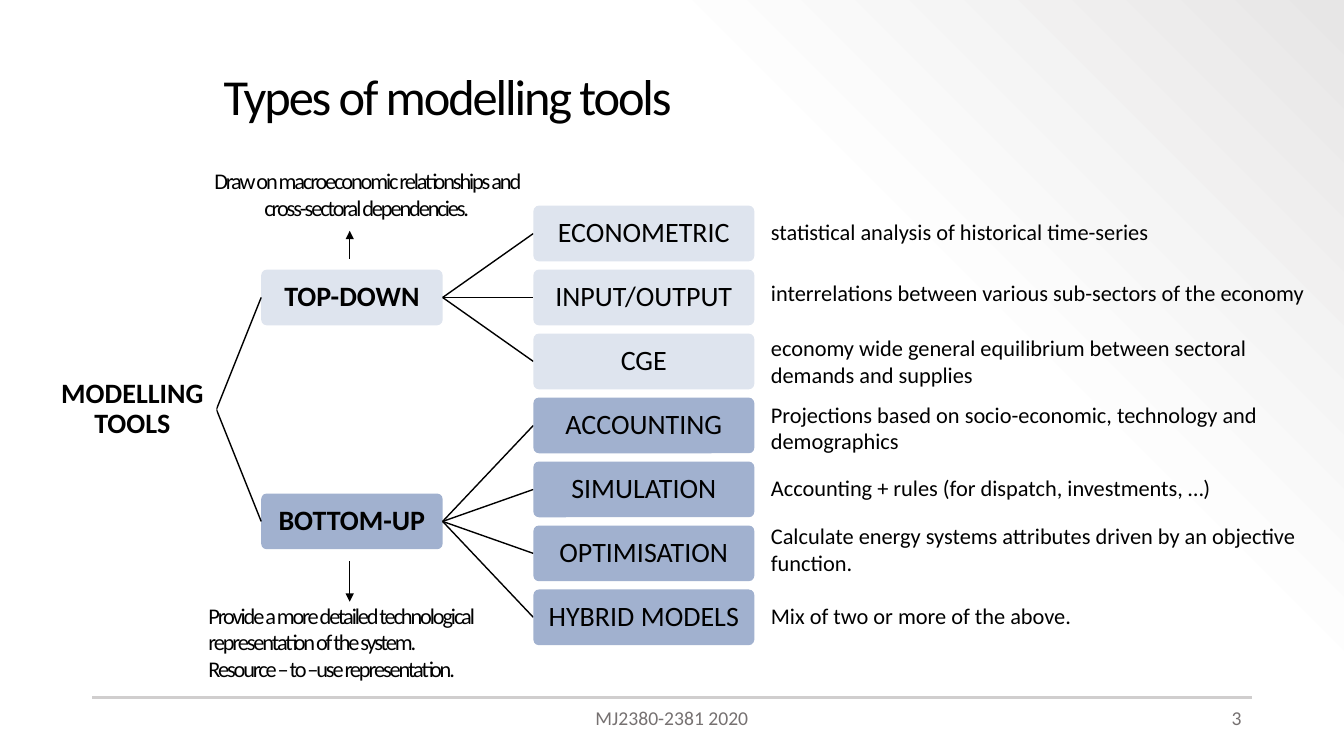
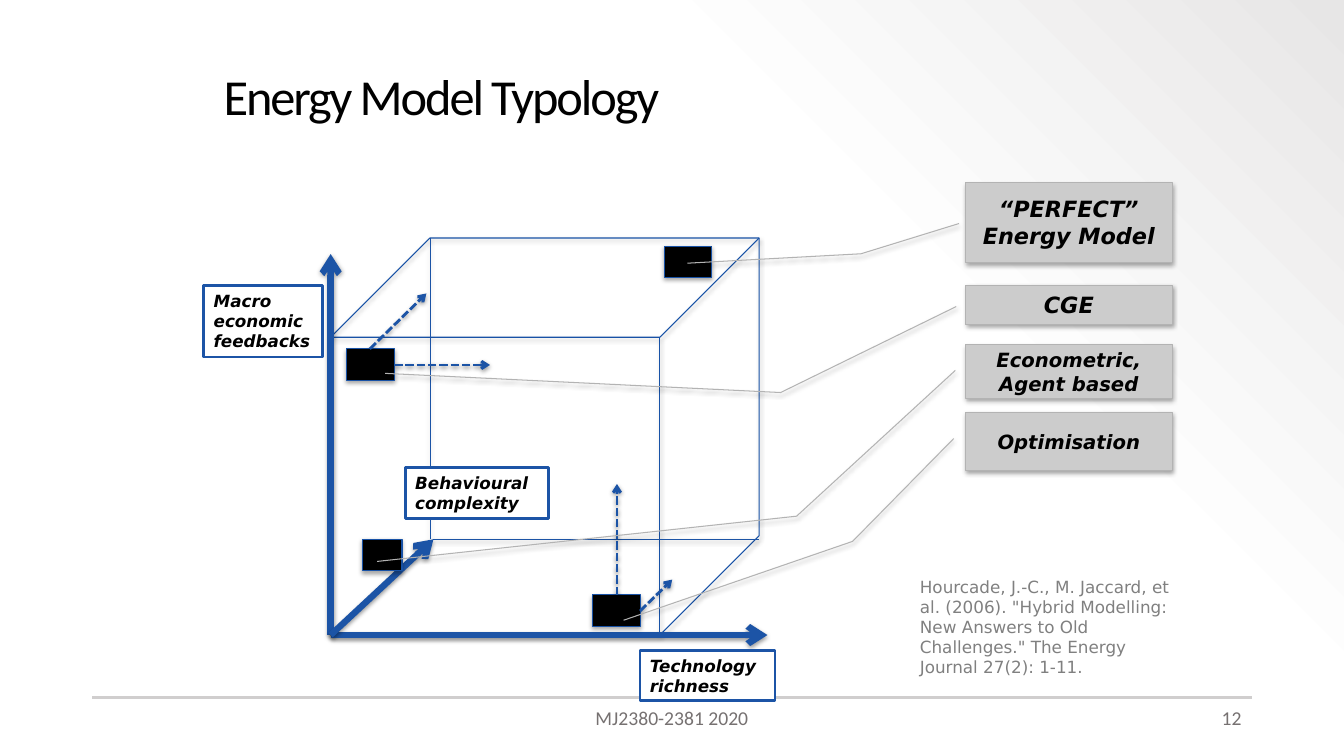
from collections import namedtuple

from lxml import etree
from pptx import Presentation
from pptx.dml.color import RGBColor
from pptx.enum import dml, shapes, text
from pptx.oxml.ns import qn
from pptx.util import Pt

Box = namedtuple("Box", "left top width height")

BLACK = RGBColor(0x00, 0x00, 0x00)
WHITE = RGBColor(0xFF, 0xFF, 0xFF)
RULE_GREY = RGBColor(0xD0, 0xCE, 0xCE)
FOOTER_GREY = RGBColor(0x76, 0x71, 0x71)
SOURCE_GREY = RGBColor(0x80, 0x80, 0x80)
PALE_BLUE = RGBColor(0xDE, 0xE4, 0xEE)
MID_BLUE = RGBColor(0xA1, 0xB1, 0xCF)
AXIS_BLUE = RGBColor(0x1C, 0x54, 0xA6)
EDGE_BLUE = RGBColor(0x18, 0x52, 0xA6)
CALLOUT_FILL = RGBColor(0xCC, 0xCC, 0xCC)
CALLOUT_EDGE = RGBColor(0xB3, 0xB3, 0xB3)
BACKGROUND_STOPS = [(0, "FFFFFF", 100), (69, "FDFDFD", 100), (100, "E7E6E6", 50)]

PAGE = Box(0, 0, 960, 540)
LEFT, CENTER, RIGHT = text.PP_ALIGN.LEFT, text.PP_ALIGN.CENTER, text.PP_ALIGN.RIGHT
MIDDLE = {"vertical_anchor": text.MSO_ANCHOR.MIDDLE}
TOP = {"vertical_anchor": text.MSO_ANCHOR.TOP}
FLAT = {"margin_top": 0, "margin_bottom": 0}
TIGHT = {f"margin_{side}": Pt(1) for side in ("left", "right", "top", "bottom")}
BODY = {"name": "Calibri", "size": Pt(16)}
NODE = {"name": "Calibri", "size": Pt(20)}
FOOTER = {"name": "Calibri", "size": Pt(14)}
TITLE = {"name": "Calibri", "size": Pt(36)}
SOURCE = {"name": "DejaVu Sans", "size": Pt(12)}
LABEL = {**SOURCE, "bold": True, "italic": True}
SHAPE_SHADOW = (35, 23000)
LINE_SHADOW = (38, 20000)


def apply(target, formats):
    for name, value in formats.items():
        setattr(target, name, value)


def inside(box, left, top, width, height):
    return Box(box.left + left, box.top + top, width, height)


def child(parent, tag, **attributes):
    return etree.SubElement(parent, qn(tag), {k: str(v) for k, v in attributes.items()})


def color_node(parent, rgb, opacity):
    color = child(parent, "a:srgbClr", val=rgb)
    if opacity < 100:
        child(color, "a:alpha", val=opacity * 1000)


def set_shadow(shape, shadow):
    effects = child(shape._element.spPr, "a:effectLst")
    if shadow:
        opacity, distance = shadow
        outer = child(effects, "a:outerShdw", blurRad=40000, dist=distance,
                      dir=5400000, rotWithShape=0)
        color_node(outer, "000000", opacity)


def write(shape, lines, font, color=BLACK, frame=None, paragraph_format=None, tracking=0):
    text_frame = shape.text_frame
    apply(text_frame, {"word_wrap": True, **(frame or {})})
    for index, line in enumerate(lines):
        paragraph = text_frame.add_paragraph() if index else text_frame.paragraphs[0]
        apply(paragraph, paragraph_format or {})
        run = paragraph.add_run()
        run.text = line
        apply(run.font, font)
        run.font.color.rgb = color
        if tracking:
            run._r.get_or_add_rPr().set("spc", str(int(tracking * 100)))


def add_text(slide, box, lines, font, **options):
    shape = slide.shapes.add_textbox(*map(Pt, box))
    write(shape, lines, font, **options)
    return shape


def add_panel(slide, kind, box, fill=None, line=None, width=0.75, shadow=None):
    shape = slide.shapes.add_shape(kind, *map(Pt, box))
    if fill is None:
        shape.fill.background()
    else:
        shape.fill.solid()
        shape.fill.fore_color.rgb = fill
    if line is None:
        shape.line.fill.background()
    else:
        shape.line.color.rgb = line
        shape.line.width = Pt(width)
    set_shadow(shape, shadow)
    return shape


def add_line(slide, start, end, color=BLACK, width=1, arrow=None, dash=None, shadow=None):
    line = slide.shapes.add_connector(
        shapes.MSO_CONNECTOR.STRAIGHT, *map(Pt, (*start, *end)))
    line.line.color.rgb = color
    line.line.width = Pt(width)
    if dash:
        line.line.dash_style = dash
    if arrow:
        child(line.line._get_or_add_ln(), "a:tailEnd", type=arrow)
    set_shadow(line, shadow)


def paint_background(slide):
    fill = slide.background.fill
    fill.gradient()
    fill.gradient_angle = 45
    stops = next(slide.element.iter(qn("a:gsLst")))
    for stop in list(stops):
        stops.remove(stop)
    for position, rgb, opacity in BACKGROUND_STOPS:
        color_node(child(stops, "a:gs", pos=position * 1000), rgb, opacity)


def add_page(presentation, title, number):
    slide = presentation.slides.add_slide(presentation.slide_layouts[6])
    paint_background(slide)
    margin, rule_top = 66, PAGE.height - 41.8
    right = PAGE.width - margin
    add_line(slide, (margin, rule_top), (right, rule_top), RULE_GREY, 1.5)
    add_text(slide, Box(152.6, 26.6, right - 152.6, 88), [title], TITLE, frame=MIDDLE,
             paragraph_format={"line_spacing": 0.9}, tracking=-1.5)
    for left, width, words, alignment in (
            (318, 324, "MJ2380-2381 2020", CENTER), (right - 216, 216, number, RIGHT)):
        add_text(slide, Box(left, rule_top + 2.2, width, 28.8), [words], FOOTER,
                 color=FOOTER_GREY, paragraph_format={"alignment": alignment})
    return slide


BRANCHES = [
    ("TOP-DOWN", PALE_BLUE, [
        ("ECONOMETRIC", "statistical analysis of historical time-series", -1.5),
        ("INPUT/OUTPUT", "interrelations between various sub-sectors of the economy", -3.5),
        ("CGE", "economy wide general equilibrium between sectoral demands and supplies", -0.5),
    ]),
    ("BOTTOM-UP", MID_BLUE, [
        ("ACCOUNTING", "Projections based on socio-economic, technology and demographics", 1.5),
        ("SIMULATION", "Accounting + rules (for dispatch, investments, …)", -1.5),
        ("OPTIMISATION",
         "Calculate energy systems attributes driven by an objective function.", -3),
        ("HYBRID MODELS", "Mix of two or more of the above.", -1.5),
    ]),
]


def add_node(slide, left, middle, width, height, label, fill, bold=False):
    node = add_panel(slide, shapes.MSO_SHAPE.ROUNDED_RECTANGLE,
                     Box(left, middle - height / 2, width, height), fill)
    node.adjustments[0] = 0.1
    write(node, [label], {**NODE, "bold": bold}, frame={**MIDDLE, **TIGHT},
          paragraph_format={"alignment": CENTER, "line_spacing": 0.9})


def add_model_tree(slide, box):
    node_height, pitch, first = 39.8, 45.7, box.top + 47.3
    root_width, branch_width, leaf_width = 120, 129.6, 157.8
    branch_left, leaf_left, note_left = (box.left + x for x in (152, 346.4, 509))
    branch_right = branch_left + branch_width
    branch_middles = []
    row = 0
    for branch, fill, leaves in BRANCHES:
        middles = [first + pitch * (row + index) for index in range(len(leaves))]
        row += len(leaves)
        branch_middle = sum(middles) / len(middles)
        branch_middles.append(branch_middle)
        add_node(slide, branch_left, branch_middle, branch_width, node_height,
                 branch, fill, bold=True)
        for (leaf, note, shift), middle in zip(leaves, middles):
            add_line(slide, (branch_right, branch_middle), (leaf_left, middle))
            add_node(slide, leaf_left, middle, leaf_width, node_height, leaf, fill)
            add_text(slide, Box(note_left, middle + shift - 19.5, 404, 39), [note], BODY,
                     frame={**MIDDLE, **FLAT})
    root_middle = sum(branch_middles) / len(branch_middles)
    for middle in branch_middles:
        add_line(slide, (box.left + root_width, root_middle), (branch_left, middle))
    add_node(slide, box.left, root_middle, root_width, 54, "MODELLING TOOLS", WHITE, bold=True)


def add_remark(slide, box, lines, alignment, arrow_start, arrow_end):
    add_text(slide, box, lines, BODY, frame=FLAT,
             paragraph_format={"alignment": alignment}, tracking=-1.5)
    arrow_left = box.left + 108
    add_line(slide, (arrow_left, box.top + arrow_start), (arrow_left, box.top + arrow_end),
             width=0.5, arrow="triangle")


def add_cube(slide, box):
    depth = box.height / 4
    bottom, right = box.top + box.height, box.left + box.width
    origin, inner = (box.left, bottom), (box.left + 73.4, bottom - 68.4)
    add_panel(slide, shapes.MSO_SHAPE.CUBE, box, None, EDGE_BLUE, shadow=SHAPE_SHADOW)
    hidden_left = box.left + depth
    for start, end, width in (
            ((hidden_left, box.top), (hidden_left, inner[1]), 0.25),
            (inner, (right, inner[1]), 0.75)):
        add_line(slide, start, end, AXIS_BLUE, width, shadow=LINE_SHADOW)
    for end in ((box.left, box.top + 11.5), (right + 6, bottom), inner):
        add_line(slide, origin, end, AXIS_BLUE, 4.5, "arrow", shadow=LINE_SHADOW)
    for left, top, width, height, label in (
            (-90.7, 33.8, 85, 51.2, "Macro economic feedbacks"),
            (53.3, 164.2, 102.2, 36, "Behavioural complexity"),
            (221, 294.5, 96.5, 36, "Technology richness")):
        panel = add_panel(slide, shapes.MSO_SHAPE.RECTANGLE,
                          inside(box, left, top, width, height), WHITE, AXIS_BLUE, 2)
        write(panel, [label], LABEL, frame=TOP, paragraph_format={"alignment": LEFT})
    for left, top, width in ((238.3, 5.8, 34), (187.2, 255, 34), (11.5, 79.2, 34), (23, 215.3, 28)):
        add_panel(slide, shapes.MSO_SHAPE.RECTANGLE, inside(box, left, top, width, 22.4),
                  BLACK, EDGE_BLUE, shadow=SHAPE_SHADOW)
    for x1, y1, x2, y2 in ((204.5, 255, 204.5, 175.7), (45.4, 90.7, 113.8, 90.7),
                           (221, 266.4, 244, 244), (28, 79.2, 68.4, 39.6)):
        add_line(slide, (box.left + x1, box.top + y1), (box.left + x2, box.top + y2),
                 AXIS_BLUE, 2, "arrow", dml.MSO_LINE.SQUARE_DOT, LINE_SHADOW)


def add_callout(slide, box, label, size, route):
    callout = add_panel(slide, shapes.MSO_SHAPE.LINE_CALLOUT_2, box, CALLOUT_FILL,
                        CALLOUT_EDGE, shadow=SHAPE_SHADOW)
    for index, (x, y) in enumerate(route):
        callout.adjustments[2 * index] = (y - box.top) / box.height
        callout.adjustments[2 * index + 1] = (x - box.left) / box.width
    write(callout, [label], {**LABEL, "size": Pt(size)}, frame=MIDDLE,
          paragraph_format={"alignment": CENTER})


def add_callouts(slide, box):
    for top, height, label, size, route in (
            (0, 56.9, "“PERFECT” Energy Model", 16, ((685, 159.7), (615, 181.3), (491, 188))),
            (73.5, 28, "CGE", 16, ((683, 219), (557.6, 280.4), (275, 266.7))),
            (116, 38.2, "Econometric, Agent based", 14,
             ((682.4, 264.6), (569, 368.7), (269.4, 401))),
            (164.2, 41.8, "Optimisation", 14, ((681.2, 313.3), (609, 386.7), (445.4, 443)))):
        add_callout(slide, inside(box, 0, top, box.width, height), label, size, route)


def main():
    presentation = Presentation()
    presentation.slide_width, presentation.slide_height = Pt(PAGE.width), Pt(PAGE.height)

    tools = add_page(presentation, "Types of modelling tools", "3")
    add_model_tree(tools, Box(34.6, 119.5, 914, 370))
    add_remark(tools, Box(141.8, 119.5, 240.5, 39),
               ["Draw on macroeconomic relationships and cross-sectoral dependencies."],
               CENTER, 65.5, 45.4)
    add_remark(tools, Box(141.8, 429.8, 219.6, 58.3),
               ["Provide a more detailed technological representation of the system.",
                "Resource – to –use representation."], LEFT, -28.8, 0)

    typology = add_page(presentation, "Energy Model Typology", "12")
    add_text(typology, Box(650, 408.2, 201.6, 83.5),
             ['Hourcade, J.-C., M. Jaccard, et al. (2006). "Hybrid Modelling: New Answers '
              'to Old Challenges." The Energy Journal 27(2): 1-11.'],
             SOURCE, color=SOURCE_GREY, paragraph_format={"space_after": Pt(6)})
    add_cube(typology, Box(236.2, 170, 306, 283.6))
    add_callouts(typology, Box(689.6, 130.3, 147.8, 206))

    presentation.save("out.pptx")


if __name__ == "__main__":
    main()
